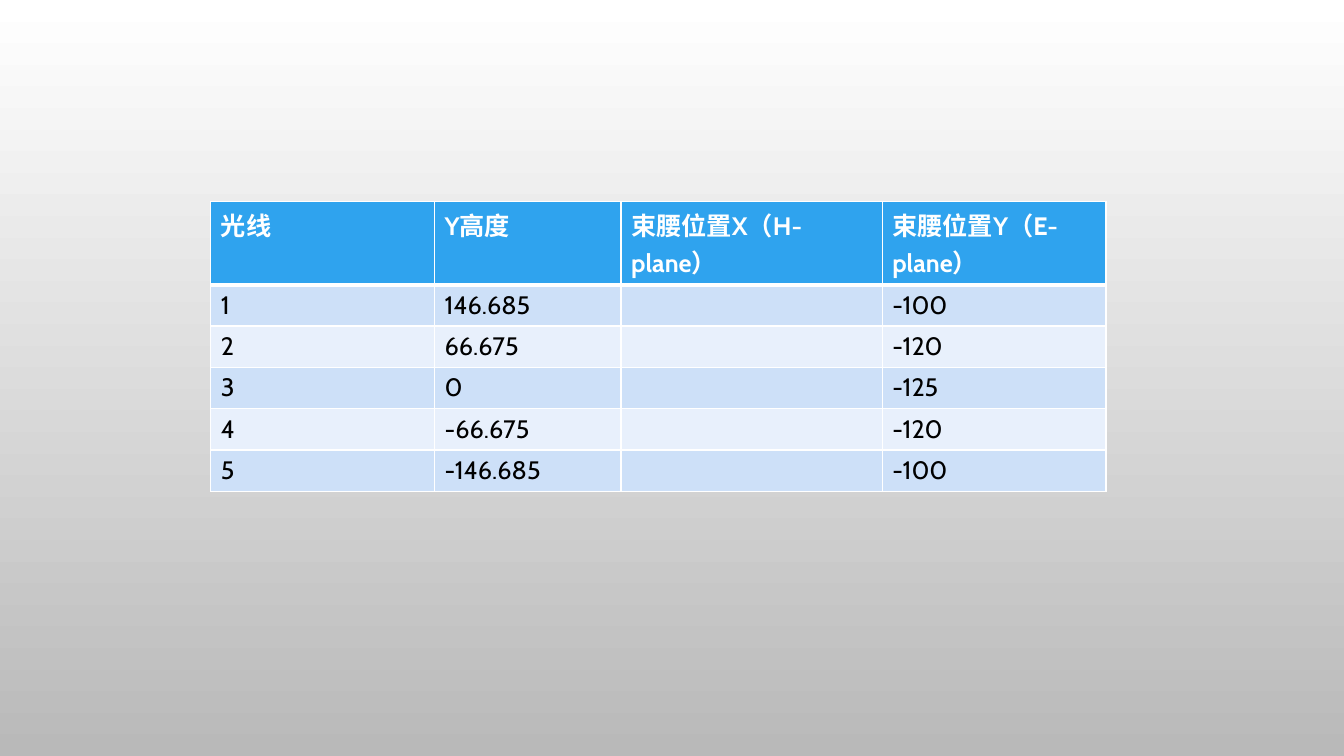
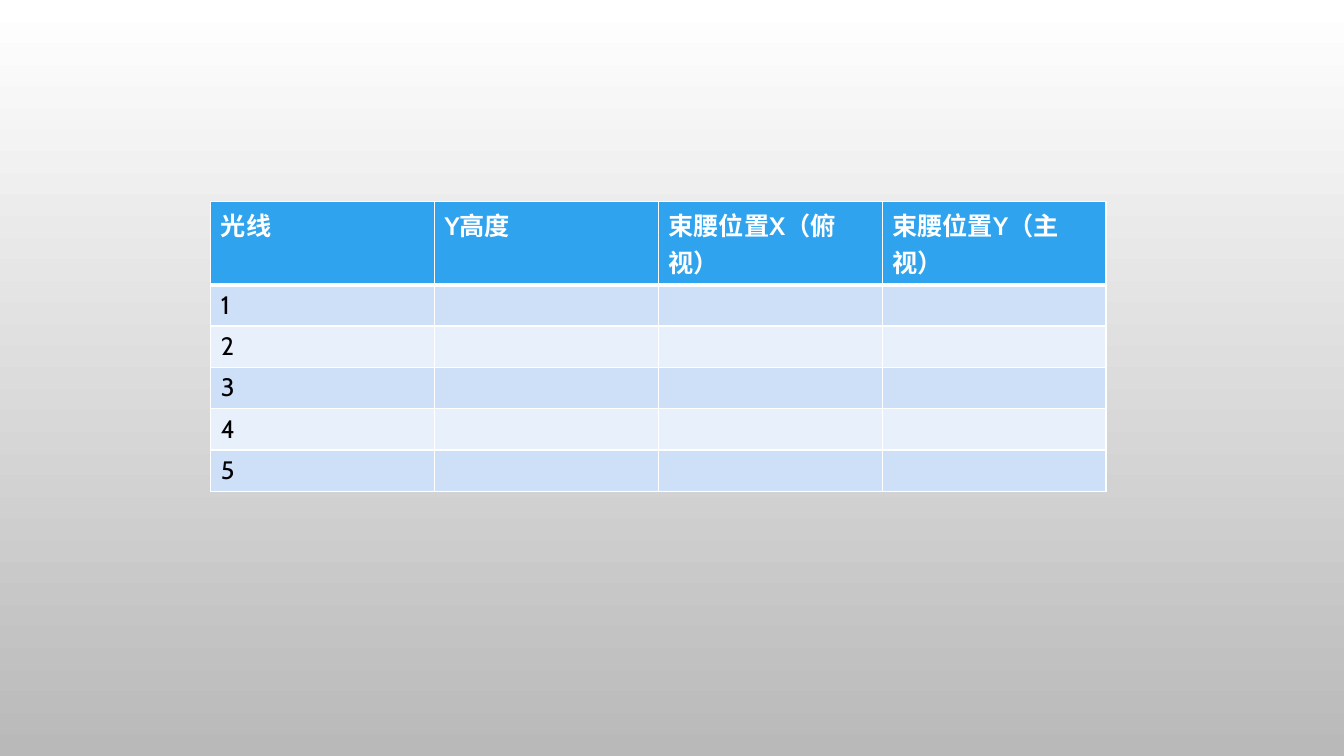
"""Build two slides with tables of beam waist positions per ray."""
from dataclasses import dataclass

from lxml import etree
from pptx import Presentation
from pptx.dml.color import RGBColor
from pptx.oxml.ns import qn
from pptx.util import Inches, Pt

BLANK = 6
DOWNWARD = 270

TABLES = [
    {
        "widths": [2.22, 1.85, 2.59, 2.22],
        "header": ["光线", "Y高度", "束腰位置X（H-plane）", "束腰位置Y（E-plane）"],
        "rows": [
            ["1", "146.685", "", "-100"],
            ["2", "66.675", "", "-120"],
            ["3", "0", "", "-125"],
            ["4", "-66.675", "", "-120"],
            ["5", "-146.685", "", "-100"],
        ],
    },
    {
        "widths": [2.22] * 4,
        "header": ["光线", "Y高度", "束腰位置X（俯视）", "束腰位置Y（主视）"],
        "rows": [[str(ray), "", "", ""] for ray in range(1, 6)],
    },
]


@dataclass(frozen=True)
class Theme:
    """Colours, type and measures shared by the slides."""
    font: str = "Cabin"
    size: int = 18
    white: str = "FFFFFF"
    black: str = "000000"
    backdrop: tuple = ("FFFFFF", "B9B9B9")
    header: str = "2FA3EE"
    bands: tuple = ("CDE0F8", "E8F0FC")
    thin: int = 1
    thick: int = 3
    left: float = 2.09
    top: float = 2
    header_height: float = 0.81
    row_height: float = 0.41


THEME = Theme()


def rgb(value):
    """Turn a hex string into a colour."""
    return RGBColor.from_string(value)


def paint_backdrop(master):
    """Give the master the vertical gradient."""
    fill = master.background.fill
    fill.gradient()
    fill.gradient_angle = DOWNWARD
    for stop, colour in zip(fill.gradient_stops, THEME.backdrop):
        stop.color.rgb = rgb(colour)


def add_borders(cell, top, bottom):
    """Draw white borders, with the top and bottom widths in points."""
    tc_pr = cell._tc.get_or_add_tcPr()
    sides = {"lnL": THEME.thin, "lnR": THEME.thin, "lnT": top, "lnB": bottom}
    for tag, width in sides.items():
        ln = etree.SubElement(tc_pr, qn(f"a:{tag}"), w=str(Pt(width)))
        solid = etree.SubElement(ln, qn("a:solidFill"))
        etree.SubElement(solid, qn("a:srgbClr"), val=THEME.white)


def fill_cell(cell, text, row):
    """Style one cell by its row and write its text."""
    is_header = row == 0
    add_borders(cell,
                THEME.thick if row == 1 else THEME.thin,
                THEME.thick if is_header else THEME.thin)
    cell.fill.solid()
    band = THEME.bands[(row - 1) % 2]
    cell.fill.fore_color.rgb = rgb(THEME.header if is_header else band)
    p = cell.text_frame.paragraphs[0]
    if not text:
        p.font.size = Pt(THEME.size)
        return
    r = p.add_run()
    r.text = text
    r.font.name = THEME.font
    r.font.size = Pt(THEME.size)
    r.font.bold = is_header
    r.font.color.rgb = rgb(THEME.white if is_header else THEME.black)


def add_ray_table(s, data):
    """Place one table of rays on a slide."""
    rows = [data["header"], *data["rows"]]
    heights = [THEME.header_height] + [THEME.row_height] * len(data["rows"])
    table = s.shapes.add_table(
        len(rows), len(data["widths"]), Inches(THEME.left), Inches(THEME.top),
        Inches(sum(data["widths"])), Inches(sum(heights))).table
    for column, width in zip(table.columns, data["widths"]):
        column.width = Inches(width)
    for i, (texts, height) in enumerate(zip(rows, heights)):
        table.rows[i].height = Inches(height)
        for j, text in enumerate(texts):
            fill_cell(table.cell(i, j), text, i)


def main():
    """Build and save the presentation."""
    prs = Presentation()
    prs.slide_width, prs.slide_height = Inches(13.33), Inches(7.5)
    paint_backdrop(prs.slide_master)
    for data in TABLES:
        add_ray_table(prs.slides.add_slide(prs.slide_layouts[BLANK]), data)
    prs.save("out.pptx")


if __name__ == "__main__":
    main()
